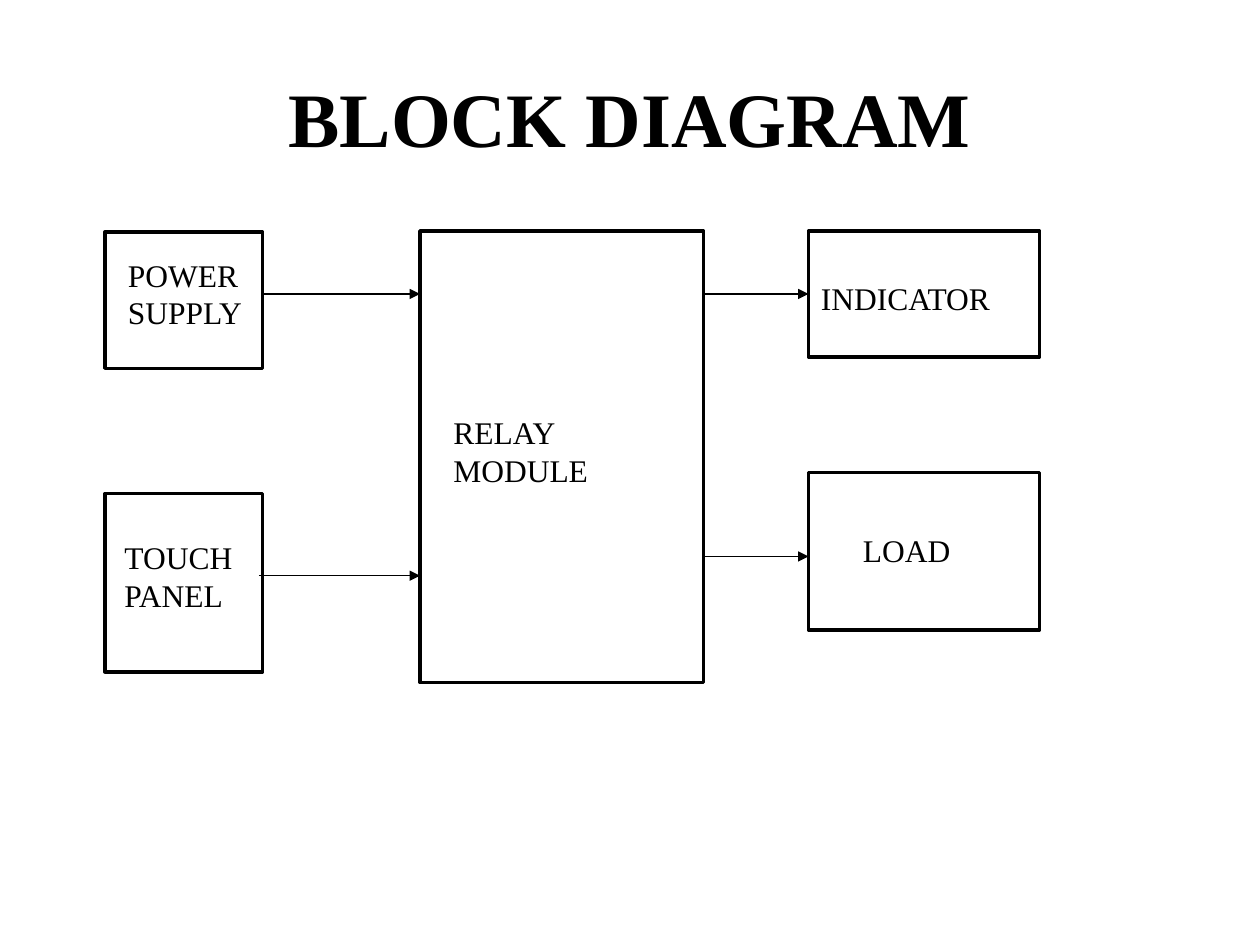
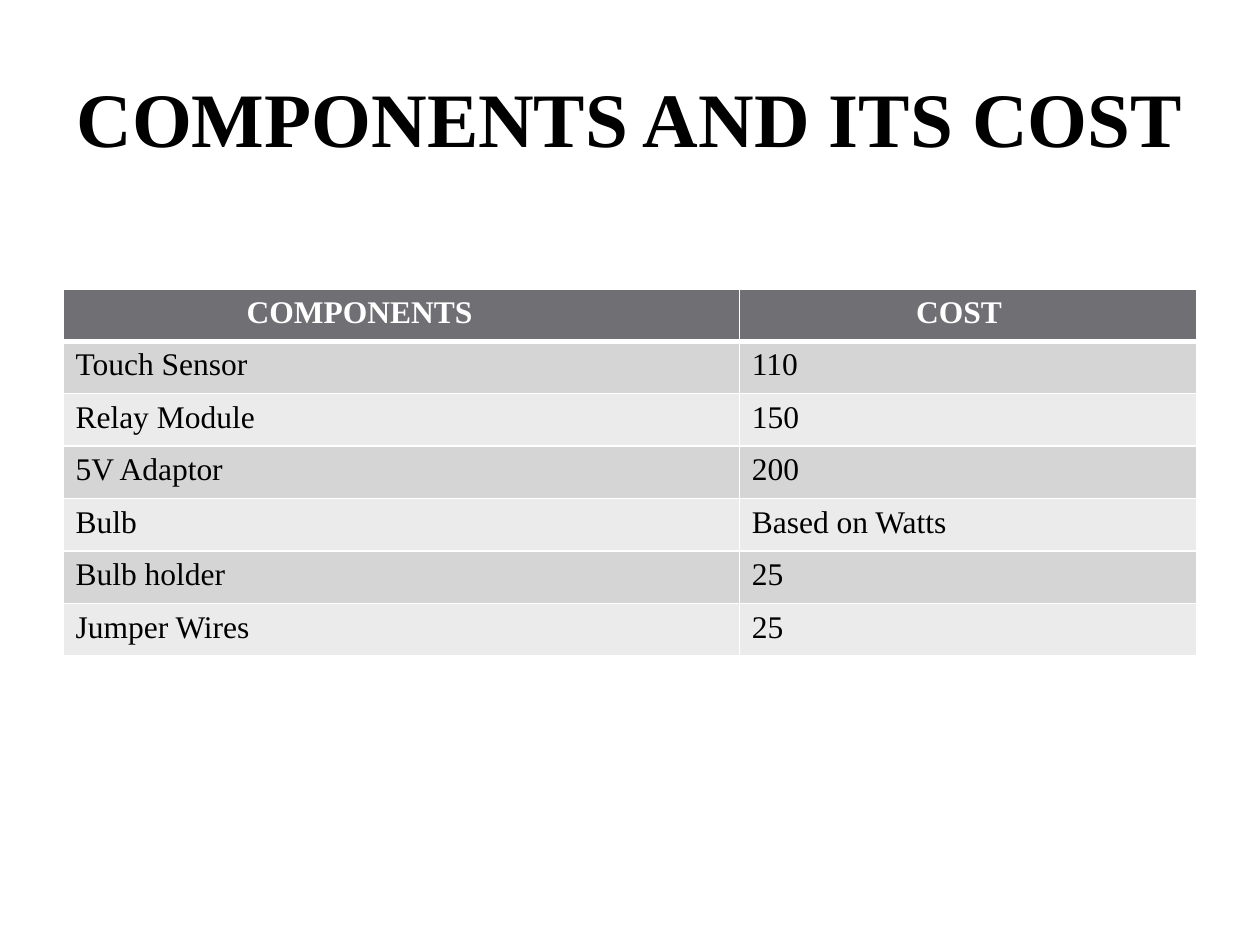
from typing import NamedTuple, Optional

from lxml.etree import SubElement
from pptx import Presentation
from pptx.dml.color import RGBColor
from pptx.enum.shapes import MSO_CONNECTOR as Connector, MSO_SHAPE as Shape
from pptx.enum.text import MSO_ANCHOR as Anchor, MSO_AUTO_SIZE as AutoSize, PP_ALIGN as Align
from pptx.oxml.ns import qn
from pptx.util import Pt

FONT = "Times New Roman"
BLACK, WHITE = "000000", "FFFFFF"
HEADER_FILL = "6F6F74"
BAND_FILLS = ("D5D5D6", "EBEBEB")
TITLE_SIZE, BODY_SIZE = 44, 18
ROW_HEIGHT = 30
TITLE_ONLY = 5


class Block(NamedTuple):
    left: float
    top: float
    width: float
    height: float


class Label(NamedTuple):
    text: str
    left: float
    top: float
    width: float
    height: float


class Arrow(NamedTuple):
    start: float
    end: float
    y: float
    target: Optional[str] = None


class Column(NamedTuple):
    heading: str
    width: float
    heading_indent: float


BLOCKS = {
    "power supply": Block(60, 132.5, 90, 78),
    "touch panel": Block(60, 282, 90, 102),
    "relay module": Block(240, 132, 162, 258),
    "indicator": Block(462, 132, 132, 72),
    "load": Block(462, 270, 132, 90),
}
LABELS = (
    Label("POWER SUPPLY", 66, 142.5, 84, 51),
    Label("TOUCH PANEL", 64, 304, 84, 51),
    Label("RELAY MODULE", 252, 232.5, 138, 51),
    Label("INDICATOR", 462, 156, 120, 29),
    Label("LOAD", 486, 300, 78, 29),
)
ARROWS = (
    Arrow(150, 240, 168),
    Arrow(148, 240, 329),
    Arrow(402, 462, 168, "indicator"),
    Arrow(402, 462, 318),
)
COLUMNS = (Column("COMPONENTS", 386.5, 105), Column("COST", 261.5, 101))
COSTS = (
    ("Touch Sensor", "110"),
    ("Relay Module", "150"),
    ("5V Adaptor", "200"),
    ("Bulb", "Based on Watts"),
    ("Bulb holder", "25"),
    ("Jumper Wires", "25"),
)


def color(value: str) -> RGBColor:
    return RGBColor.from_string(value)


def set_font(paragraph, size: float, ink: str = BLACK, bold: bool = False) -> None:
    font = paragraph.font
    font.name, font.size, font.bold = FONT, Pt(size), bold
    font.color.rgb = color(ink)


def add_titled_slide(presentation, text: str):
    slide = presentation.slides.add_slide(presentation.slide_layouts[TITLE_ONLY])
    title = slide.shapes.title
    title.left, title.top, title.width, title.height = Pt(36), Pt(21.6), Pt(648), Pt(90)
    frame = title.text_frame
    frame.text = text
    frame.vertical_anchor = Anchor.MIDDLE
    frame.auto_size = AutoSize.NONE
    frame.paragraphs[0].alignment = Align.CENTER
    set_font(frame.paragraphs[0], TITLE_SIZE, bold=True)
    return slide


def add_block(slide, block: Block):
    shape = slide.shapes.add_shape(Shape.RECTANGLE, *map(Pt, block))
    shape.shadow.inherit = False
    shape.fill.background()
    shape.line.color.rgb = color(BLACK)
    shape.line.width = Pt(2)
    return shape


def add_label(slide, label: Label) -> None:
    frame = slide.shapes.add_textbox(*map(Pt, label[1:])).text_frame
    frame.word_wrap = True
    frame.auto_size = AutoSize.SHAPE_TO_FIT_TEXT
    frame.text = label.text
    set_font(frame.paragraphs[0], BODY_SIZE)


def add_arrow(slide, arrow: Arrow, blocks: dict) -> None:
    connector = slide.shapes.add_connector(
        Connector.STRAIGHT, Pt(arrow.start), Pt(arrow.y), Pt(arrow.end), Pt(arrow.y))
    if arrow.target:
        connector.end_connect(blocks[arrow.target], 1)
    connector.line.color.rgb = color(BLACK)
    connector.line.width = Pt(0.75)
    SubElement(connector.line._get_or_add_ln(), qn("a:tailEnd"), type="triangle")
    SubElement(connector._element.spPr, qn("a:effectLst"))


def set_borders(cell, top: float = 1, bottom: float = 1) -> None:
    properties = cell._tc.get_or_add_tcPr()
    for side, width in (("L", 1), ("R", 1), ("T", top), ("B", bottom)):
        line = SubElement(properties, qn(f"a:ln{side}"), w=str(Pt(width)))
        fill = SubElement(line, qn("a:solidFill"))
        SubElement(fill, qn("a:srgbClr"), val=WHITE)


def fill_cell(cell, text: str, fill: str, ink: str = BLACK, bold: bool = False) -> None:
    cell.fill.solid()
    cell.fill.fore_color.rgb = color(fill)
    cell.text = text
    set_font(cell.text_frame.paragraphs[0], BODY_SIZE, ink, bold)


def add_cost_table(slide) -> None:
    row_count = len(COSTS) + 1
    table = slide.shapes.add_table(
        row_count, len(COLUMNS), Pt(36), Pt(165),
        Pt(sum(column.width for column in COLUMNS)), Pt(ROW_HEIGHT * row_count)).table
    for row in table.rows:
        row.height = Pt(ROW_HEIGHT)
    for index, column in enumerate(COLUMNS):
        table.columns[index].width = Pt(column.width)
        header = table.cell(0, index)
        set_borders(header, bottom=3)
        fill_cell(header, column.heading, HEADER_FILL, WHITE, bold=True)
        header.margin_left = Pt(column.heading_indent)
        for row, values in enumerate(COSTS, start=1):
            cell = table.cell(row, index)
            set_borders(cell, top=3 if row == 1 else 1)
            fill_cell(cell, values[index], BAND_FILLS[(row - 1) % 2])


def build_block_diagram(presentation) -> None:
    slide = add_titled_slide(presentation, "BLOCK DIAGRAM")
    blocks = {name: add_block(slide, block) for name, block in BLOCKS.items()}
    for label in LABELS:
        add_label(slide, label)
    for arrow in ARROWS:
        add_arrow(slide, arrow, blocks)


def build_component_costs(presentation) -> None:
    add_cost_table(add_titled_slide(presentation, "COMPONENTS AND ITS COST"))


def main() -> None:
    presentation = Presentation()
    presentation.slide_width, presentation.slide_height = Pt(720), Pt(540)
    build_block_diagram(presentation)
    build_component_costs(presentation)
    presentation.save("out.pptx")


if __name__ == "__main__":
    main()
